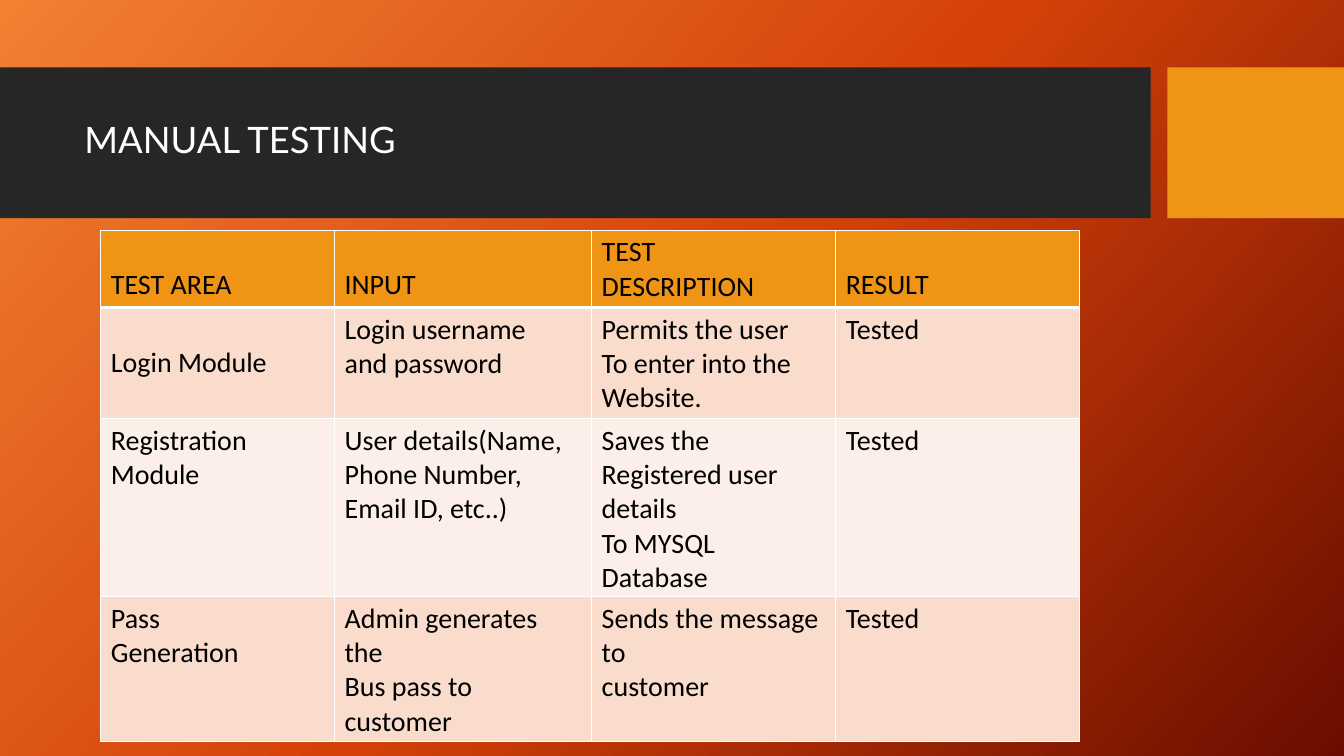
from copy import deepcopy

from lxml import etree
from pptx import Presentation
from pptx import util as u
from pptx.dml.color import RGBColor
from pptx.enum import shapes, text
from pptx.oxml.ns import qn

WHITE, BLACK, CHARCOAL, ORANGE = "FFFFFF", "000000", "262626", "F09415"
BAND_COLOURS = ("F9DCCC", "FCEEE8")
GLOW = ((0, "F18031"), (0.5, "D54209"), (1, "6A0D00"))
COLUMN_WIDTHS = (5.89, 6.48, 6.15, 6.15)
ROW_HEIGHTS = (1.73, 2.41, 3.12, 2.41)

# Each cell is a tuple of paragraphs
TESTS = (
    (("TEST AREA",), ("INPUT",), ("TEST", "DESCRIPTION"), ("RESULT",)),
    (("Login Module",), ("Login username", "and password"),
     ("Permits the user", "To enter into the", "Website."), ("Tested",)),
    (("Registration", "Module"),
     ("User details(Name, Phone Number, Email ID, etc..)",),
     ("Saves the", "Registered user details", "To MYSQL Database"), ("Tested",)),
    (("Pass", "Generation"), ("Admin generates the", "Bus pass to customer"),
     ("Sends the message to ", "customer"), ("Tested",)),
)


def colour(hex_code):
    return RGBColor.from_string(hex_code)


def add_words(paragraph, words, size, font, hex_code):
    run = paragraph.add_run()
    run.text = words
    run.font.size = u.Pt(size)
    run.font.name = font
    run.font.bold = False
    run.font.color.rgb = colour(hex_code)


def paint_background(slide):
    fill = slide.background.fill
    fill.gradient()
    fill.gradient_angle = 360 - 42
    # A third stop goes between the two default ones
    stop_list = slide.element.find(".//" + qn("a:gsLst"))
    stop_list.insert(1, deepcopy(stop_list[0]))
    for stop, (position, hex_code) in zip(fill.gradient_stops, GLOW):
        stop.position = position
        stop.color.rgb = colour(hex_code)


def add_block(slide, left, top, width, height, hex_code):
    block = slide.shapes.add_shape(
        shapes.MSO_SHAPE.RECTANGLE,
        u.Cm(left), u.Cm(top), u.Cm(width), u.Cm(height))
    block.shadow.inherit = False
    block.fill.solid()
    block.fill.fore_color.rgb = colour(hex_code)
    block.line.fill.background()


def add_title_band(slide, left, top, width, height):
    # Dark bar, gap, orange end block
    end_width, gap = 4.45, 0.42
    bar_width = width - end_width - gap
    add_block(slide, left, top, bar_width, height, CHARCOAL)
    add_block(slide, left + width - end_width, top, end_width, height, ORANGE)

    # Title
    title = slide.shapes.add_textbox(
        u.Cm(left + 1.88), u.Cm(top + 0.38), u.Cm(26.7), u.Cm(3))
    frame = title.text_frame
    frame.word_wrap = True
    frame.vertical_anchor = text.MSO_ANCHOR.MIDDLE
    heading = frame.paragraphs[0]
    heading.line_spacing = 0.9
    add_words(heading, "MANUAL TESTING", 26, "Lato", WHITE)


def add_borders(cell, bottom_points):
    properties = cell._tc.get_or_add_tcPr()
    edges = (("L", 1), ("R", 1), ("T", 1), ("B", bottom_points))
    for index, (side, points) in enumerate(edges):
        edge = etree.Element(qn("a:ln" + side), w=str(u.Pt(points)))
        solid = etree.SubElement(edge, qn("a:solidFill"))
        etree.SubElement(solid, qn("a:srgbClr"), val=WHITE)
        properties.insert(index, edge)


def fill_cell(cell, paragraphs, hex_code, anchor, bottom_points):
    cell.fill.solid()
    cell.fill.fore_color.rgb = colour(hex_code)
    cell.vertical_anchor = anchor
    add_borders(cell, bottom_points)
    frame = cell.text_frame
    for index, words in enumerate(paragraphs):
        paragraph = frame.add_paragraph() if index else frame.paragraphs[0]
        add_words(paragraph, words, 20, "Calibri", BLACK)


def add_test_table(slide, left, top, width, height):
    holder = slide.shapes.add_table(
        len(TESTS), len(COLUMN_WIDTHS),
        u.Cm(left), u.Cm(top), u.Cm(width), u.Cm(height))
    tests = holder.table
    tests.first_row = tests.horz_banding = False
    for column, column_width in zip(tests.columns, COLUMN_WIDTHS):
        column.width = u.Cm(column_width)
    for row, row_height in zip(tests.rows, ROW_HEIGHTS):
        row.height = u.Cm(row_height)
    holder.height = u.Cm(height)

    for r, row in enumerate(TESTS):
        header = r == 0
        band = ORANGE if header else BAND_COLOURS[(r - 1) % 2]
        for c, paragraphs in enumerate(row):
            if header:
                anchor = text.MSO_ANCHOR.BOTTOM
            elif (r, c) == (1, 0):  # the login label sits mid-row
                anchor = text.MSO_ANCHOR.MIDDLE
            else:
                anchor = text.MSO_ANCHOR.TOP
            fill_cell(tests.cell(r, c), paragraphs, band, anchor,
                      3 if header else 1)


def main():
    deck = Presentation()
    deck.slide_width, deck.slide_height = u.Cm(33.87), u.Cm(19.05)
    slide = deck.slides.add_slide(deck.slide_layouts[6])
    paint_background(slide)
    add_title_band(slide, 0, 1.7, 33.87, 3.8)
    add_test_table(slide, 2.54, 5.8, sum(COLUMN_WIDTHS), 12.88)
    deck.save("out.pptx")


if __name__ == "__main__":
    main()
